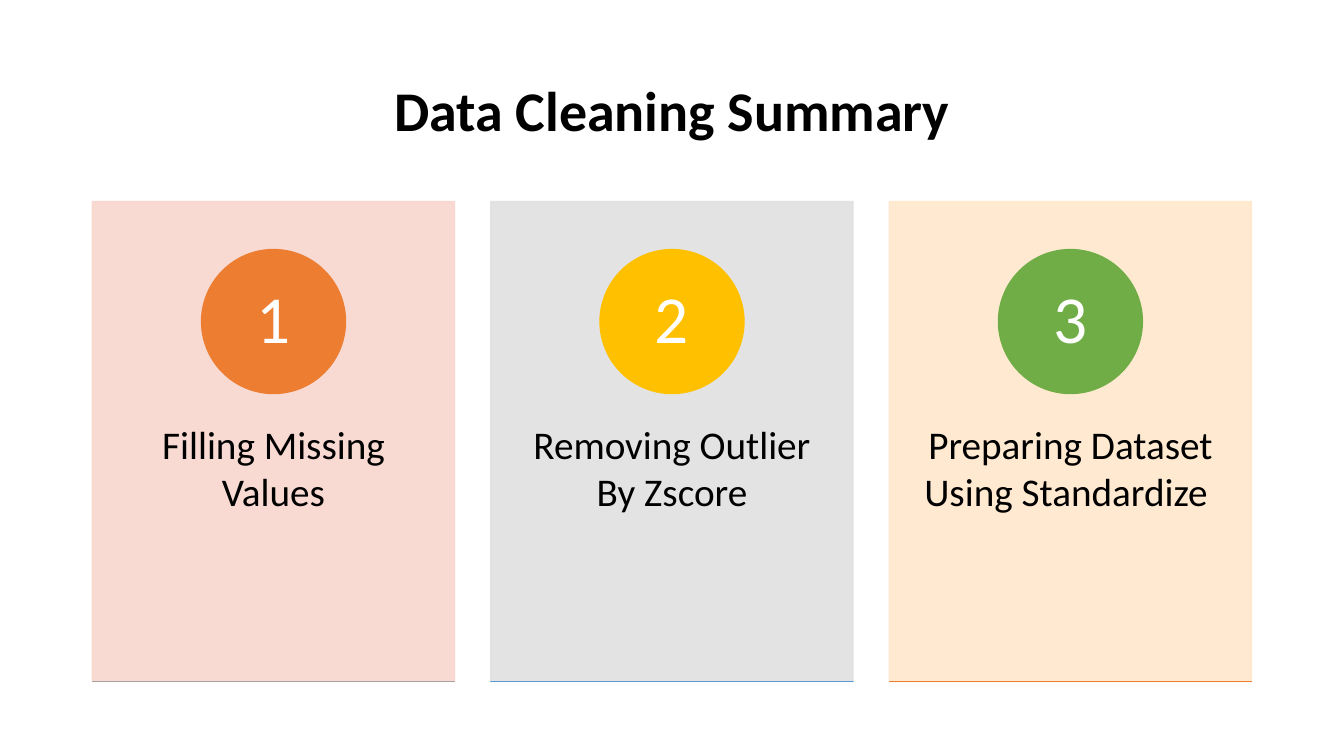
from dataclasses import dataclass

from lxml.etree import SubElement
from pptx import Presentation
from pptx.dml.color import RGBColor
from pptx.dml.fill import FillFormat
from pptx.enum.shapes import MSO_SHAPE as Preset
from pptx.enum.text import MSO_ANCHOR as Anchor, PP_ALIGN as Align
from pptx.oxml.ns import qn
from pptx.shapes.autoshape import Shape
from pptx.slide import Slide
from pptx.util import Pt

BLACK = RGBColor(0x00, 0x00, 0x00)
WHITE = RGBColor(0xFF, 0xFF, 0xFF)
PINK = RGBColor(0xF8, 0xD7, 0xCE)
PALE_GREY = RGBColor(0xE1, 0xE1, 0xE1)
CREAM = RGBColor(0xFF, 0xE8, 0xCC)
ORANGE = RGBColor(0xED, 0x7D, 0x31)
GOLD = RGBColor(0xFF, 0xC0, 0x00)
GREEN = RGBColor(0x70, 0xAD, 0x47)
GREY = RGBColor(0xA5, 0xA5, 0xA5)
BLUE = RGBColor(0x5B, 0x9B, 0xD5)

FONT = "Calibri"
LEFT, TOP = 66, 144
CARD_WIDTH, CARD_HEIGHT = 258.75, 342.72
CARD_PITCH = 284.62
BADGE_TOP, BADGE_SIZE = 178.27, 102.82
NUMBER_SIZE = 72.7
LABEL_TOP, LABEL_HEIGHT = 274.23, 205.63
BASE_HEIGHT = 0.01


@dataclass(frozen=True)
class Box:
    left: float
    top: float
    width: float
    height: float


@dataclass(frozen=True)
class Step:
    label: str
    panel: RGBColor
    badge: RGBColor
    base: RGBColor


STEPS = [
    Step("Filling Missing Values", PINK, ORANGE, GREY),
    Step("Removing Outlier By Zscore", PALE_GREY, GOLD, BLUE),
    Step("Preparing Dataset Using Standardize ", CREAM, GREEN, ORANGE),
]


def set_opacity(fill: FillFormat, percent: int) -> None:
    color = fill._xPr.find(qn("a:solidFill"))[0]
    SubElement(color, qn("a:alpha")).set("val", str(percent * 1000))


def add_block(page: Slide, preset: Preset, box: Box, color: RGBColor,
              opacity: int = 100) -> Shape:
    """Add a preset shape whose fill and outline share one colour."""
    block = page.shapes.add_shape(preset, Pt(box.left), Pt(box.top),
                                  Pt(box.width), Pt(box.height))
    block.shadow.inherit = False
    block.line.width = Pt(1)
    for fill in (block.fill, block.line.fill):
        fill.solid()
        fill.fore_color.rgb = color
        if opacity < 100:
            set_opacity(fill, opacity)
    return block


def add_text(page: Slide, box: Box, text: str, size: float, color: RGBColor,
             margins: tuple[float, float], anchor: Anchor = Anchor.MIDDLE,
             spacing: float = 0.9, bold: bool = False) -> None:
    """Add centred text; margins are horizontal, then vertical."""
    frame = page.shapes.add_textbox(Pt(box.left), Pt(box.top), Pt(box.width),
                                    Pt(box.height)).text_frame
    frame.word_wrap = True
    frame.vertical_anchor = anchor
    frame.margin_left = frame.margin_right = Pt(margins[0])
    frame.margin_top = frame.margin_bottom = Pt(margins[1])
    para = frame.paragraphs[0]
    para.alignment = Align.CENTER
    para.line_spacing = spacing
    span = para.add_run()
    span.text = text
    span.font.name = FONT
    span.font.size = Pt(size)
    span.font.bold = bold
    span.font.color.rgb = color


def add_step(page: Slide, index: int, step: Step) -> None:
    left = LEFT + index * CARD_PITCH
    badge_left = left + (CARD_WIDTH - BADGE_SIZE) / 2
    inset = (BADGE_SIZE - NUMBER_SIZE) / 2

    add_block(page, Preset.RECTANGLE,
              Box(left, TOP, CARD_WIDTH, CARD_HEIGHT), step.panel, 90)
    add_text(page, Box(left, LABEL_TOP, CARD_WIDTH, LABEL_HEIGHT), step.label,
             28, BLACK, (20.17, 26), Anchor.TOP, 1.0)
    add_block(page, Preset.OVAL,
              Box(badge_left, BADGE_TOP, BADGE_SIZE, BADGE_SIZE), step.badge)
    add_text(page, Box(badge_left + inset, BADGE_TOP + inset,
                       NUMBER_SIZE, NUMBER_SIZE),
             str(index + 1), 48, WHITE, (8, 1))
    add_block(page, Preset.RECTANGLE,
              Box(left, TOP + CARD_HEIGHT, CARD_WIDTH, BASE_HEIGHT), step.base)


def main() -> None:
    deck = Presentation()
    deck.slide_width, deck.slide_height = Pt(960), Pt(540)
    page = deck.slides.add_slide(deck.slide_layouts[6])
    add_text(page, Box(LEFT, 28.75, 828, 104.38), "Data Cleaning Summary",
             40, BLACK, (7.2, 3.6), bold=True)
    for index, step in enumerate(STEPS):
        add_step(page, index, step)
    deck.save("out.pptx")


if __name__ == "__main__":
    main()
